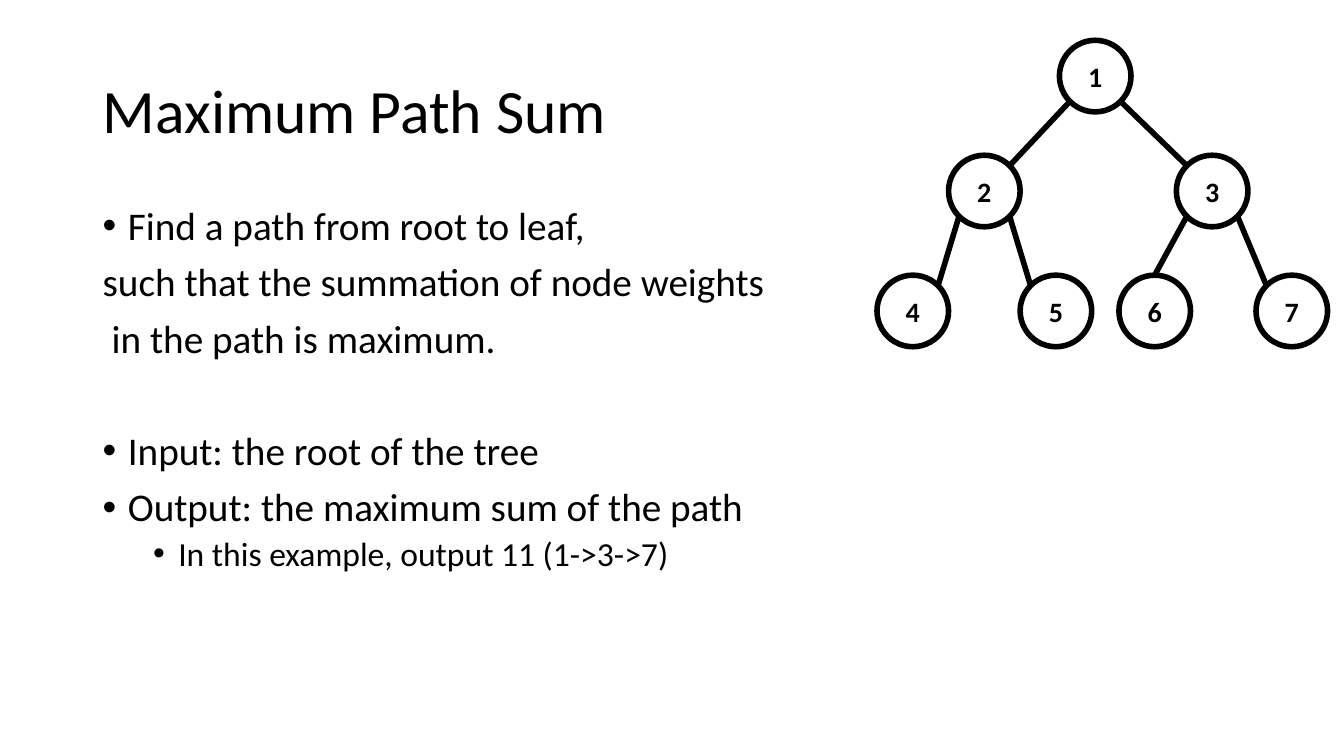
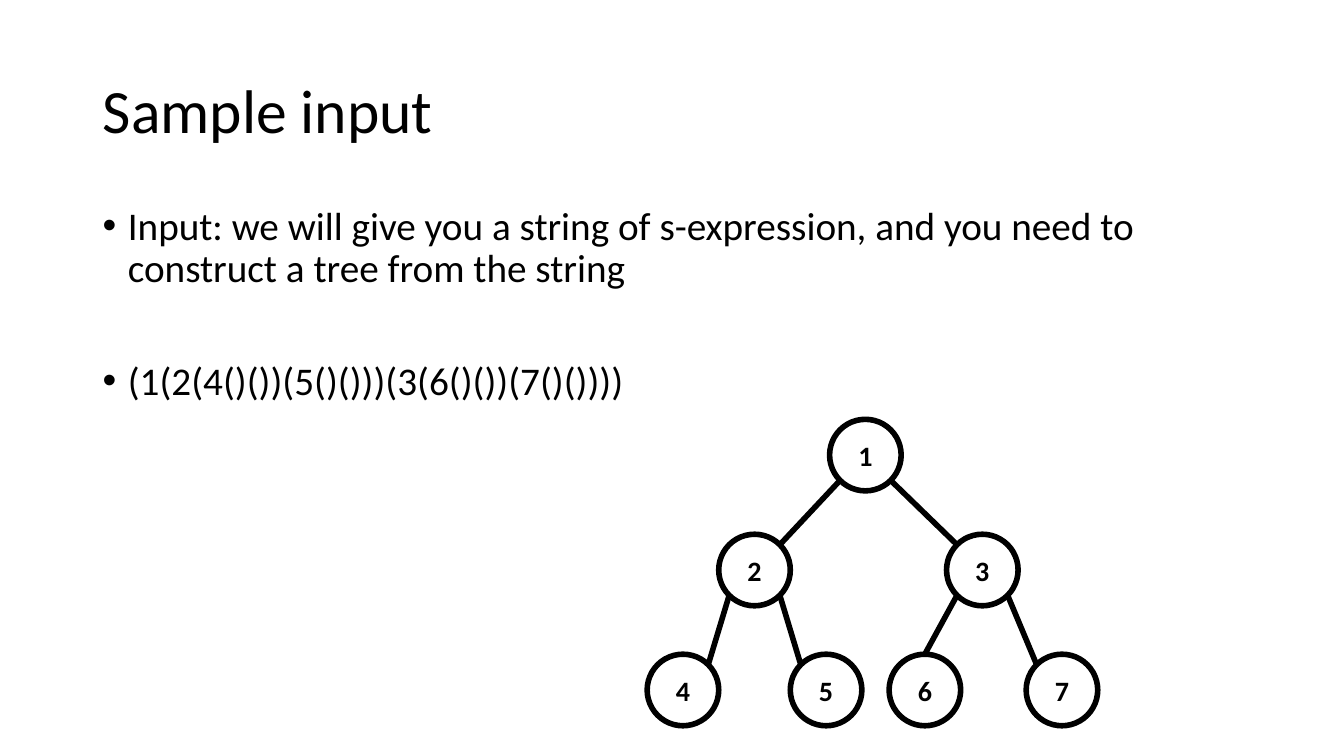
from math import sqrt

from lxml import etree
from pptx import Presentation
from pptx import util as u
from pptx.dml.color import RGBColor
from pptx.enum import shapes, text
from pptx.oxml.ns import qn

COLORS = {"ink": "000000"}
FONT = "Calibri"
COLUMNS, ROWS = 133.33, 75
NODE_SIZE = 7.1
LINE_WIDTH = u.Pt(4)
TITLE_BOX = (9.2, 4, 115, 14.5)
BODY_BOX = (9.2, 20, 115, 47.6)
TITLE_FONT = {"size": u.Pt(44)}
NODE_FONT = {"size": u.Pt(20), "bold": True}
BODY_STYLES = {
    "bullet": {"size": 28, "before": 10, "margin": 0.25, "bullet": True},
    "after gap": {"size": 28, "before": 50, "margin": 0.25, "bullet": True},
    "plain": {"size": 28, "before": 10, "margin": 0, "bullet": False},
    "inset": {"size": 28, "before": 10, "margin": 0.09, "bullet": False},
    "sub": {"size": 24, "before": 5, "margin": 0.75, "bullet": True},
}
NODE_OFFSETS = {
    "1": (0, 0),
    "2": (-11, 11.4),
    "3": (11.6, 11.4),
    "4": (-18.1, 23.3),
    "5": (-3.9, 23.3),
    "6": (5.9, 23.3),
    "7": (19.5, 23.3),
}
EDGES = [("1", "2"), ("1", "3"), ("2", "4"), ("2", "5"), ("3", "6"), ("3", "7")]
TOP_JOINED = {"6"}
SLIDES = [
    {
        "title": "Maximum Path Sum",
        "root": (105.1, 4),
        "body": [
            ("bullet", "Find a path from root to leaf,"),
            ("plain", "such that the summation of node weights"),
            ("inset", "in the path is maximum."),
            ("after gap", "Input: the root of the tree"),
            ("bullet", "Output: the maximum sum of the path"),
            ("sub", "In this example, output 11 (1->3->7)"),
        ],
    },
    {
        "title": "Sample input",
        "root": (82.3, 41.6),
        "body": [
            ("bullet", "Input: we will give you a string of s-expression, "
                       "and you need to construct a tree from the string"),
            ("after gap", "(1(2(4()())(5()()))(3(6()())(7()())))"),
        ],
    },
]


def set_values(target, values):
    for name, value in values.items():
        setattr(target, name, value)


class Deck:
    """Hold the shared style and the current slide."""

    def __init__(self):
        self.presentation = Presentation()
        set_values(self.presentation,
                   {"slide_width": u.Inches(13.33), "slide_height": u.Inches(7.5)})
        self.slide = None

    def x(self, columns):
        return round(self.presentation.slide_width * columns / COLUMNS)

    def y(self, rows):
        return round(self.presentation.slide_height * rows / ROWS)

    def box(self, left, top, width, height):
        return self.x(left), self.y(top), self.x(width), self.y(height)

    def color(self, name):
        return RGBColor.from_string(COLORS[name])

    def style_font(self, font, values):
        set_values(font, {"name": FONT, **values})
        font.color.rgb = self.color("ink")

    def style_line(self, line):
        line.width = LINE_WIDTH
        line.color.rgb = self.color("ink")

    def add_slide(self, title):
        layout = self.presentation.slide_layouts[5]
        self.slide = self.presentation.slides.add_slide(layout)
        shape = self.slide.shapes.title
        names = ("left", "top", "width", "height")
        set_values(shape, dict(zip(names, self.box(*TITLE_BOX))))
        set_values(shape.text_frame, {
            "text": title, "word_wrap": True, "auto_size": text.MSO_AUTO_SIZE.NONE,
            "vertical_anchor": text.MSO_ANCHOR.MIDDLE})
        paragraph = shape.text_frame.paragraphs[0]
        set_values(paragraph, {"alignment": text.PP_ALIGN.LEFT, "line_spacing": 0.9})
        self.style_font(paragraph.runs[0].font, TITLE_FONT)

    def add_body(self, items):
        frame = self.slide.shapes.add_textbox(*self.box(*BODY_BOX)).text_frame
        frame.word_wrap = True
        for index, (style, words) in enumerate(items):
            paragraph = frame.add_paragraph() if index else frame.paragraphs[0]
            self.fill_paragraph(paragraph, words, **BODY_STYLES[style])

    def fill_paragraph(self, paragraph, words, size, before, margin, bullet):
        run = paragraph.add_run()
        run.text = words
        self.style_font(run.font, {"size": u.Pt(size)})
        set_values(paragraph, {"line_spacing": 0.9, "space_before": u.Pt(before)})
        properties = paragraph._p.get_or_add_pPr()
        properties.set("marL", str(u.Inches(margin)))
        if bullet:
            properties.set("indent", str(u.Inches(-0.25)))
            etree.SubElement(properties, qn("a:buFont")).set("typeface", "Arial")
            etree.SubElement(properties, qn("a:buChar")).set("char", "•")

    def add_node(self, label, left, top):
        node = self.slide.shapes.add_shape(
            shapes.MSO_SHAPE.OVAL, *self.box(left, top, NODE_SIZE, NODE_SIZE))
        node.shadow.inherit = False
        node.fill.background()
        self.style_line(node.line)
        set_values(node.text_frame, {
            "text": label, "vertical_anchor": text.MSO_ANCHOR.MIDDLE,
            "margin_left": 0, "margin_right": 0, "margin_top": 0, "margin_bottom": 0})
        paragraph = node.text_frame.paragraphs[0]
        paragraph.alignment = text.PP_ALIGN.CENTER
        self.style_font(paragraph.runs[0].font, NODE_FONT)
        return node

    def rim_point(self, node, across, down):
        reach = node.width / 2 / sqrt(2)
        return (round(node.left + node.width / 2 + across * reach),
                round(node.top + node.height / 2 + down * reach))

    def add_edge(self, parent, child, joins_top):
        side = 1 if child.left > parent.left else -1
        edge = self.slide.shapes.add_connector(
            shapes.MSO_CONNECTOR.STRAIGHT,
            *self.rim_point(parent, side, 1), *self.rim_point(child, -side, -1))
        if joins_top:
            edge.end_connect(child, 0)
        self.style_line(edge.line)
        etree.SubElement(edge._element.spPr, qn("a:effectLst"))

    def add_tree(self, left, top):
        nodes = {label: self.add_node(label, left + across, top + down)
                 for label, (across, down) in NODE_OFFSETS.items()}
        for parent, child in EDGES:
            self.add_edge(nodes[parent], nodes[child], child in TOP_JOINED)


def main():
    deck = Deck()
    for content in SLIDES:
        deck.add_slide(content["title"])
        deck.add_body(content["body"])
        deck.add_tree(*content["root"])
    deck.presentation.save("out.pptx")


if __name__ == "__main__":
    main()
